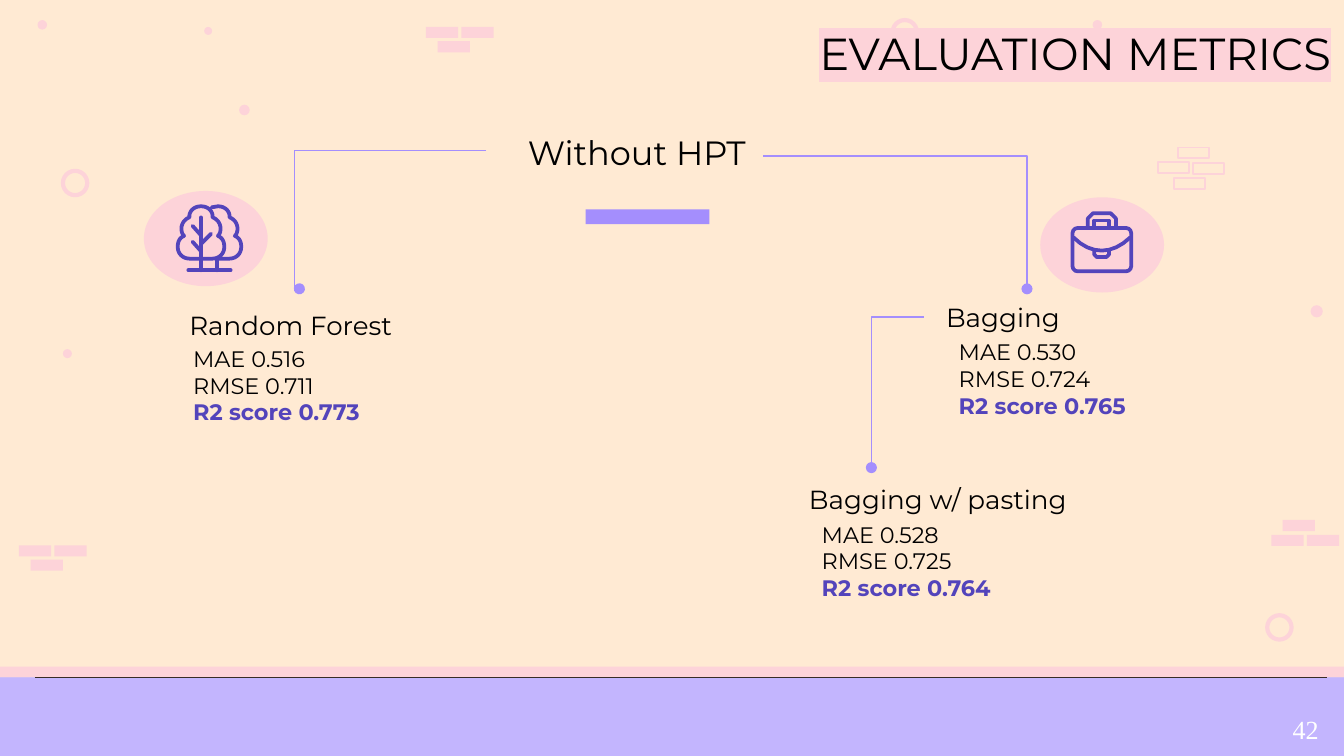
from dataclasses import dataclass
from typing import NamedTuple

from lxml import etree
from pptx import Presentation
from pptx.dml.color import RGBColor
from pptx.enum.shapes import MSO_CONNECTOR, MSO_SHAPE
from pptx.enum.text import MSO_ANCHOR, MSO_AUTO_SIZE, PP_ALIGN
from pptx.oxml.ns import qn
from pptx.util import Cm, Pt

RECT, OVAL, ROUNDED = MSO_SHAPE.RECTANGLE, MSO_SHAPE.OVAL, MSO_SHAPE.ROUNDED_RECTANGLE
STRAIGHT, ELBOW = MSO_CONNECTOR.STRAIGHT, MSO_CONNECTOR.ELBOW
LEFT, CENTER, RIGHT = PP_ALIGN.LEFT, PP_ALIGN.CENTER, PP_ALIGN.RIGHT
MIDDLE, TOP = MSO_ANCHOR.MIDDLE, MSO_ANCHOR.TOP


@dataclass(frozen=True)
class Theme:
    cream: str = "FFEAD3"
    pink: str = "FDD3D9"
    violet: str = "A48EFD"
    lilac: str = "C3B5FE"
    indigo: str = "5344BB"
    brown: str = "382B26"
    black: str = "000000"
    white: str = "FFFFFF"
    font: str = "Montserrat"
    number_font: str = "Times New Roman"
    title: int = 24
    topic: int = 18
    heading: int = 14
    body: int = 12


class Box(NamedTuple):
    """Lengths in centimetres."""
    left: float
    top: float
    width: float
    height: float

    def emu(self):
        return [Cm(length) for length in self]


THEME = Theme()
BRICK = (0.61, 0.21)
# Right half of a tree crown, measured from the top of its centre line.
CROWN = [((0, 0.04), (0.14, 0.04), (0.23, 0.14), (0.22, 0.25)),
         ((0.22, 0.25), (0.3, 0.28), (0.37, 0.36), (0.37, 0.46)),
         ((0.37, 0.46), (0.37, 0.51), (0.36, 0.56), (0.32, 0.6)),
         ((0.32, 0.6), (0.41, 0.64), (0.44, 0.71), (0.44, 0.81)),
         ((0.44, 0.81), (0.44, 0.94), (0.34, 1.03), (0.22, 1.03))]


def rgb(color):
    return RGBColor.from_string(color)


def add_shape(page, kind, box, fill=None, line=None, weight=1.0):
    shape = page.shapes.add_shape(kind, *box.emu())
    paint(shape, fill, line, weight)
    return shape


def paint(shape, fill, line, weight):
    shape.shadow.inherit = False
    for part, color in ((shape.fill, fill), (shape.line.fill, line)):
        if color:
            part.solid()
            part.fore_color.rgb = rgb(color)
        else:
            part.background()
    if line:
        shape.line.width = Pt(weight)


def add_span(para, text, size, color=THEME.black, font=THEME.font, bold=False):
    span = para.add_run()
    span.text = text
    span.font.size, span.font.name, span.font.bold = Pt(size), font, bold
    span.font.color.rgb = rgb(color)
    return span


def frame_text(shape, anchor=MIDDLE, inset=0.25, wrap=True):
    frame = shape.text_frame
    frame.auto_size = MSO_AUTO_SIZE.NONE
    frame.word_wrap = wrap
    frame.vertical_anchor = anchor
    frame.margin_left = frame.margin_right = Cm(0.25)
    frame.margin_top = frame.margin_bottom = Cm(inset)
    return frame


def add_label(page, box, text, size, align=LEFT):
    frame = frame_text(page.shapes.add_textbox(*box.emu()))
    frame.paragraphs[0].alignment = align
    add_span(frame.paragraphs[0], text, size)


def add_line(page, kind, start, end, color, weight):
    line = page.shapes.add_connector(kind, *map(Cm, (*start, *end)))
    line.line.color.rgb = rgb(color)
    line.line.width = Pt(weight)
    etree.SubElement(line._element.spPr, qn("a:effectLst"))
    return line


def add_branch(page, start, end, preset, bend=None):
    """Elbow line ending in a dot; bend is the turn in thousandths of a percent."""
    line = add_line(page, ELBOW, start, end, THEME.violet, 0.75)
    geometry = line._element.spPr.find(qn("a:prstGeom"))
    geometry.set("prst", preset)
    if bend:
        guides = geometry.get_or_add_avLst()
        etree.SubElement(guides, qn("a:gd"), name="adj1", fmla=f"val {bend}")
    etree.SubElement(line.line._ln, qn("a:tailEnd"), type="oval")


def curve(start, pull_a, pull_b, end, steps=8):
    """Points along a cubic Bézier curve."""
    weights = [((1 - t) ** 3, 3 * t * (1 - t) ** 2, 3 * t * t * (1 - t), t ** 3)
               for t in (step / steps for step in range(steps + 1))]
    corners = (start, pull_a, pull_b, end)
    return [tuple(sum(w * corner[axis] for w, corner in zip(row, corners))
                  for axis in (0, 1)) for row in weights]


def add_stroke(page, box, points, close=False):
    places = [(Cm(box.left + x), Cm(box.top + y)) for x, y in points]
    builder = page.shapes.build_freeform(*places[0])
    builder.add_line_segments(places[1:], close=close)
    shape = builder.convert_to_shape()
    paint(shape, None, THEME.indigo, 2)
    shape.line._ln.set("cap", "rnd")


def draw_trees(page, box):
    half = [point for lobe in CROWN for point in curve(*lobe)]
    front, back = 0.5, 0.82
    outline = [(front + x, y) for x, y in half] + [(front - x, y) for x, y in half[::-1]]
    add_stroke(page, box, outline, close=True)
    add_stroke(page, box, [(0.7, 0.06)] + [(back + x, y) for x, y in half] + [(0.8, 1.03)])
    for points in ([(front, 0.25), (front, 1.25)], [(0.8, 1.03), (0.8, 1.25)],
                   [(0.26, 1.25), (1.06, 1.25)], [(0.34, 0.41), (front, 0.59)],
                   [(0.34, 0.71), (front, 0.89)], [(0.69, 0.56), (front, 0.75)]):
        add_stroke(page, box, points)


def draw_briefcase(page, box):
    body = Box(box.left + 0.03, box.top + 0.32, 1.11, 0.82)
    add_shape(page, ROUNDED, body, line=THEME.indigo, weight=2).adjustments[0] = 0.12
    add_stroke(page, box, curve((0.05, 0.5), (0.38, 0.83), (0.78, 0.83), (1.12, 0.5)))
    add_stroke(page, box, [(0.32, 0.3), (0.32, 0.14), (0.42, 0.04), (0.75, 0.04),
                           (0.85, 0.14), (0.85, 0.3)])
    add_stroke(page, box, [(0.44, 0.3), (0.44, 0.18), (0.72, 0.18), (0.72, 0.3)])
    add_stroke(page, box, [(0.44, 0.76), (0.44, 0.82), (0.49, 0.87), (0.67, 0.87),
                           (0.72, 0.82), (0.72, 0.76)])


def draw_backdrop(page, box):
    page.background.fill.solid()
    page.background.fill.fore_color.rgb = rgb(THEME.lilac)
    floor = box.top + 12.8
    add_shape(page, RECT, Box(box.left, box.top, box.width, 12.8), THEME.cream)
    add_shape(page, RECT, Box(box.left, floor - 0.2, box.width, 0.2), THEME.pink)
    add_line(page, STRAIGHT, (box.left + 0.66, floor), (box.left + 25.07, floor),
             THEME.brown, 0.5)
    hanging = ((0, 0), (0.67, 0), (0.22, 0.27))
    standing = ((0.21, 0), (0, 0.28), (0.67, 0.28))
    for left, top, pattern in ((8.05, 0.51, hanging), (0.36, 10.31, hanging),
                               (24.03, 9.83, standing)):
        for x, y in pattern:
            add_shape(page, RECT, Box(left + x, top + y, *BRICK), THEME.pink)
    for x, y in ((0.38, 0), (0, 0.28), (0.66, 0.3), (0.3, 0.58)):
        add_shape(page, RECT, Box(21.89 + x, 2.79 + y, 0.58, 0.2), line=THEME.pink)
    for left, top, size in ((20.65, 0.38, 0.18), (4.52, 1.98, 0.2), (24.77, 5.77, 0.23),
                            (1.19, 6.6, 0.17), (3.86, 0.51, 0.15), (0.71, 0.38, 0.18)):
        add_shape(page, OVAL, Box(left, top, size, size), THEME.pink)
    for left, top in ((16.87, 0.38), (1.19, 3.23), (23.95, 11.63)):
        add_shape(page, OVAL, Box(left, top, 0.46, 0.46), line=THEME.pink, weight=2.25)


def place_title(page, box, text):
    title = page.shapes.title
    title.left, title.top, title.width, title.height = box.emu()
    para = frame_text(title).paragraphs[0]
    para.alignment = RIGHT
    span = add_span(para, text, THEME.title)
    marker = etree.Element(qn("a:highlight"))
    etree.SubElement(marker, qn("a:srgbClr"), val=THEME.pink)
    span._r.rPr.find(qn("a:solidFill")).addnext(marker)


def add_result(page, box, model, scores, indent=0.24, scores_height=1.35):
    """Model name with its three scores below, the last one stressed."""
    area = Box(box.left + indent, box.top + 1.32, 4.52, scores_height)
    frame = frame_text(page.shapes.add_textbox(*area.emu()))
    for index, (metric, score) in enumerate(zip(("MAE", "RMSE", "R2 score"), scores)):
        para = frame.add_paragraph() if index else frame.paragraphs[0]
        stressed = index == 2
        add_span(para, f"{metric} {score}", THEME.body,
                 THEME.indigo if stressed else THEME.black, bold=stressed)
    add_label(page, box, model, THEME.heading)


def add_badge(page, box, draw_icon, icon_box):
    add_shape(page, OVAL, box, THEME.pink)
    draw_icon(page, icon_box)


def add_page_number(page, box, number):
    frame = frame_text(page.shapes.add_textbox(*box.emu()), TOP, 0.13, wrap=False)
    add_span(frame.paragraphs[0], number, THEME.heading, THEME.white, THEME.number_font)


def main():
    deck = Presentation()
    deck.slide_width, deck.slide_height = Cm(25.4), Cm(14.29)
    page = deck.slides.add_slide(deck.slide_layouts[5])
    draw_backdrop(page, Box(0, 0, 25.4, 14.29))
    page.shapes._spTree.append(page.shapes.title._element)  # bring the title forward
    place_title(page, Box(3.99, 0.43, 21.41, 1.14), "EVALUATION METRICS")
    add_label(page, Box(8.86, 2.03, 6.35, 1.7), "Without HPT", THEME.topic, CENTER)
    add_shape(page, RECT, Box(11.07, 3.96, 2.34, 0.28), THEME.violet)
    add_badge(page, Box(2.72, 3.61, 2.34, 1.8), draw_trees, Box(3.3, 3.86, 1.32, 1.32))
    add_badge(page, Box(19.66, 3.73, 2.34, 1.8), draw_briefcase, Box(20.24, 3.99, 1.17, 1.17))
    add_branch(page, (9.19, 2.84), (5.66, 5.46), "bentConnector3", 102500)
    add_branch(page, (14.43, 2.95), (19.41, 5.46), "bentConnector3", 100000)
    add_branch(page, (17.46, 5.99), (16.47, 8.84), "bentConnector2")
    add_result(page, Box(17.63, 5.16, 5.82, 1.65), "Bagging", ("0.530", "0.724", "0.765"))
    add_result(page, Box(3.33, 5.16, 5.05, 1.96), "Random Forest",
               ("0.516", "0.711", "0.773"), indent=0.07, scores_height=1.6)
    add_result(page, Box(15.04, 8.61, 5.82, 1.65), "Bagging w/ pasting",
               ("0.528", "0.725", "0.764"))
    add_page_number(page, Box(24.18, 13.36, 1.12, 0.86), "42")
    deck.save("out.pptx")


if __name__ == "__main__":
    main()
